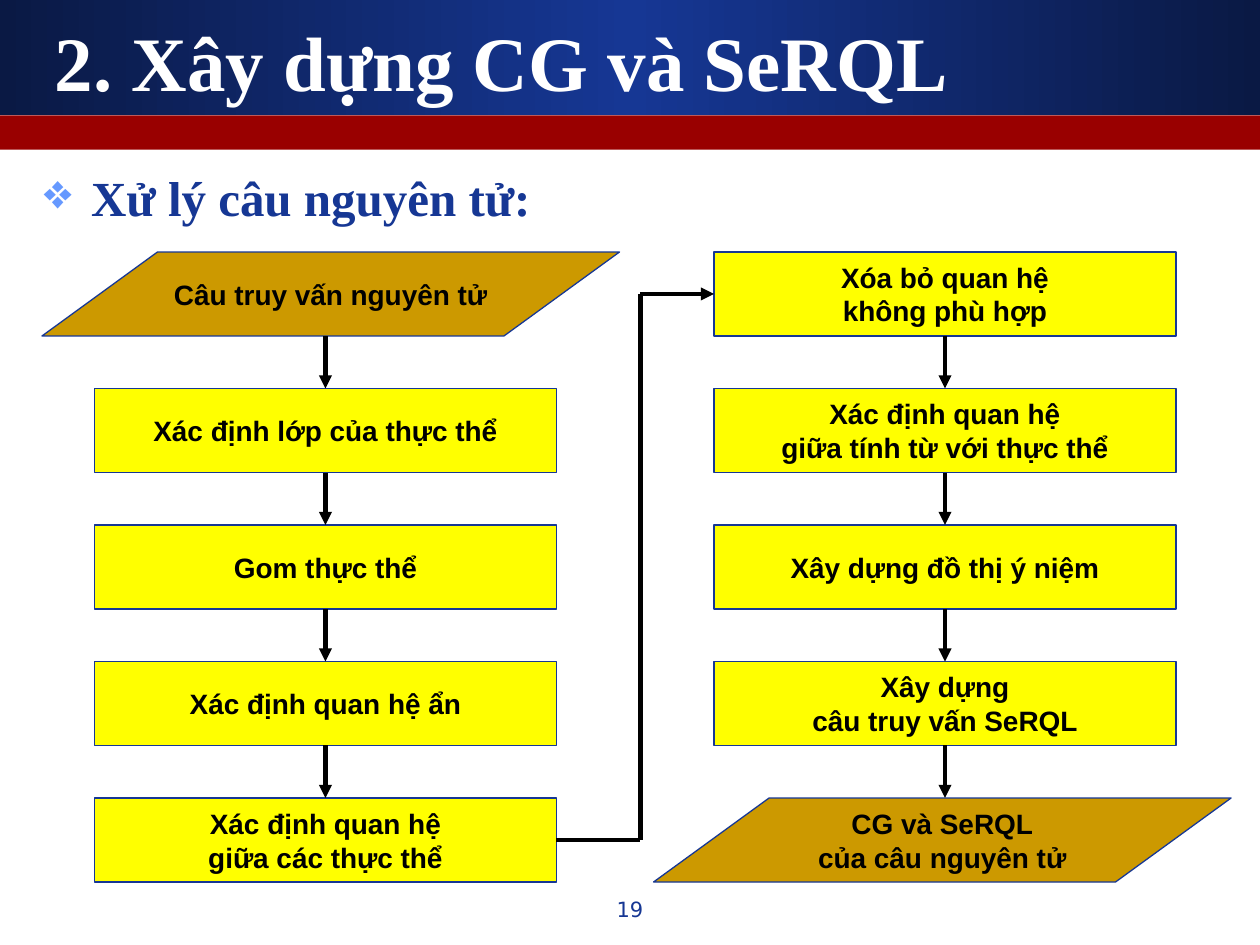
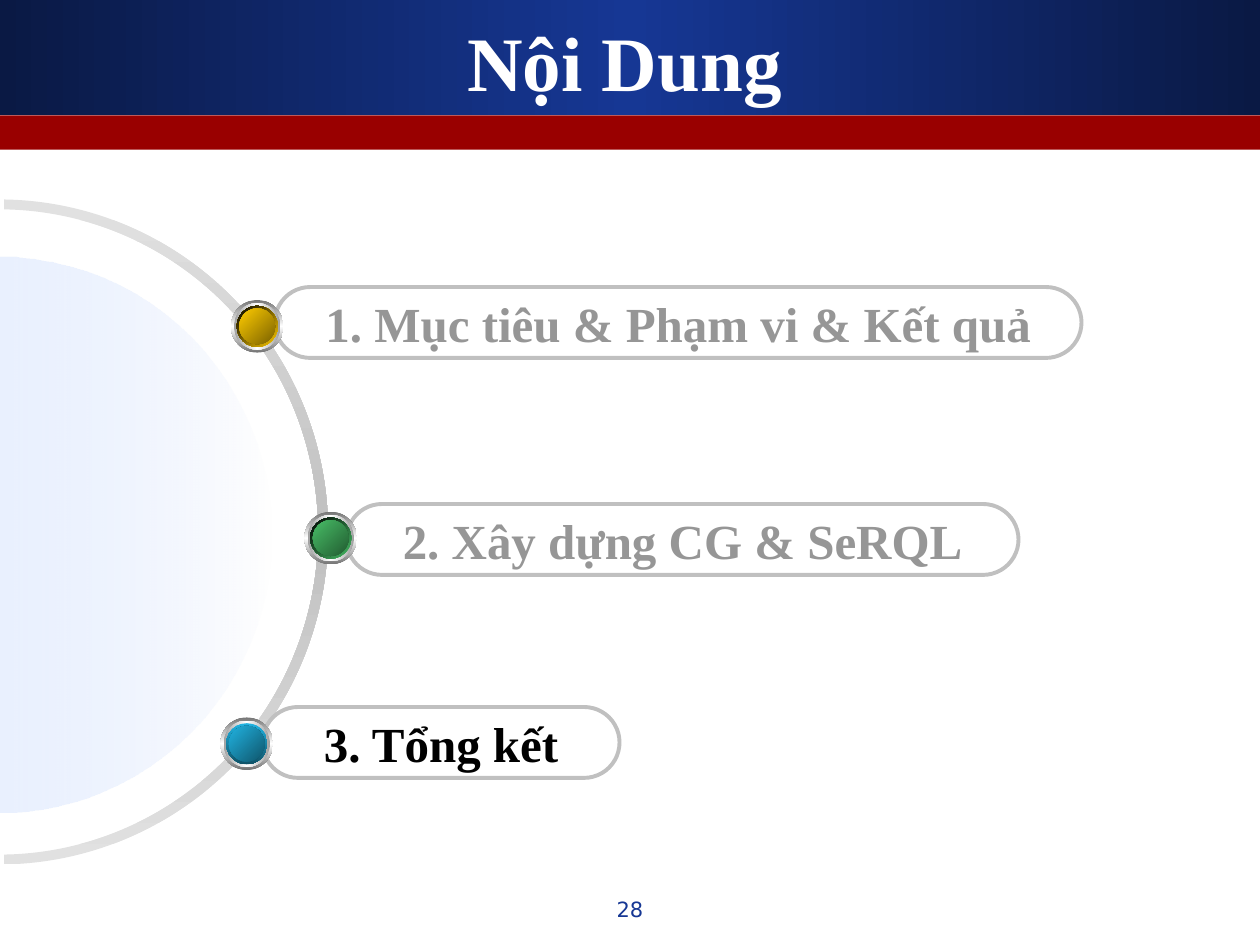
from dataclasses import dataclass
from lxml import etree
from pptx import Presentation
from pptx.dml.color import RGBColor
from pptx.enum import shapes, text
from pptx.oxml.ns import qn
from pptx.util import Pt


@dataclass(frozen=True)
class Theme:
    navy: str = "163794"
    dark_navy: str = "0A1944"
    red: str = "990000"
    sky: str = "6699FF"
    white: str = "FFFFFF"
    near_white: str = "FEFEFE"
    black: str = "000000"
    yellow: str = "FFFF00"
    ochre: str = "CC9900"
    silver: str = "C0C0C0"
    light_silver: str = "E1E1E1"
    gray: str = "969696"
    serif: str = "Times New Roman"
    sans: str = "Arial"
    number_font: str = "DejaVu Sans"
    title_size: float = 44
    heading_size: float = 28
    step_size: float = 16
    number_size: float = 12
    box_line: float = 0.75
    pill_line: float = 2.25
    arrow_line: float = 2.5


THEME = Theme()
KIND = shapes.MSO_SHAPE


def rgb(value):
    return RGBColor.from_string(value)


def add_bullet(paragraph, character, color, indent):
    properties = paragraph._p.get_or_add_pPr()
    properties.set("marL", str(Pt(indent)))
    properties.set("indent", str(-Pt(indent)))
    bullet_color = etree.SubElement(properties, qn("a:buClr"))
    etree.SubElement(bullet_color, qn("a:srgbClr"), val=color)
    etree.SubElement(properties, qn("a:buChar"), char=character)


def write_text(frame, value, size, color, font=THEME.serif, bold=True,
               align="CENTER", anchor="MIDDLE", wrap=True, bullet=None):
    frame.auto_size = text.MSO_AUTO_SIZE.NONE
    frame.word_wrap = wrap
    frame.vertical_anchor = getattr(text.MSO_ANCHOR, anchor)
    frame.margin_left = frame.margin_right = Pt(7.2)
    frame.margin_top = frame.margin_bottom = Pt(3.6)
    frame.text = value
    for paragraph in frame.paragraphs:
        paragraph.alignment = getattr(text.PP_ALIGN, align)
        paragraph.space_before = Pt(0)
        if bullet:
            add_bullet(paragraph, bullet, THEME.sky, 27)
        paragraph.font.size = Pt(size)
        paragraph.font.name = font
        paragraph.font.bold = bold
        paragraph.font.color.rgb = rgb(color)


def fill_gradient(shape, stops, angle):
    shape.fill.gradient()
    shape.fill.gradient_angle = (360 - angle) % 360
    stop_list = shape.element.spPr.find(qn("a:gradFill")).find(qn("a:gsLst"))
    for stop in list(stop_list):
        stop_list.remove(stop)
    for index, (color, alpha) in enumerate(stops):
        position = str(100000 * index // (len(stops) - 1))
        stop = etree.SubElement(stop_list, qn("a:gs"), pos=position)
        stop_color = etree.SubElement(stop, qn("a:srgbClr"), val=color)
        if alpha < 100:
            etree.SubElement(stop_color, qn("a:alpha"), val=str(alpha * 1000))


class Deck:
    def __init__(self, theme):
        self.theme = theme
        self.presentation = Presentation()
        self.presentation.slide_width = Pt(720)
        self.presentation.slide_height = Pt(540)
        self.slide = None

    def add_slide(self, title, number, align):
        theme = self.theme
        first = self.slide is None
        layout = self.presentation.slide_layouts[5]
        self.slide = self.presentation.slides.add_slide(layout)
        if first:
            self.add_master_bands()
        placeholder = self.slide.shapes.title
        placeholder.left, placeholder.top = Pt(24), Pt(12)
        placeholder.width, placeholder.height = Pt(666), Pt(45)
        write_text(placeholder.text_frame, title, theme.title_size,
                   theme.white, align=align)
        self.add_text(number, 276, 509, 168, 25, size=theme.number_size,
                      color=theme.navy, font=theme.number_font, bold=False,
                      anchor="TOP")

    def add_master_bands(self):
        theme = self.theme
        top_band = self.add_shape(
            KIND.RECTANGLE, 0, 0, 720, 66, angle=180,
            gradient=(theme.dark_navy, theme.navy, theme.dark_navy))
        red_band = self.add_shape(KIND.RECTANGLE, 0, 66, 720, 19.5,
                                  fill=theme.red)
        tree = self.presentation.slide_master.element.cSld.spTree
        for identifier, band in enumerate((top_band, red_band), 101):
            band.element.nvSpPr.cNvPr.id = identifier
            tree.append(band.element)

    def add_text(self, value, left, top, width, height, **style):
        box = self.slide.shapes.add_textbox(Pt(left), Pt(top),
                                            Pt(width), Pt(height))
        write_text(box.text_frame, value, **style)

    def add_shape(self, kind, left, top, width, height, fill=None,
                  gradient=None, alphas=None, angle=0, line=None,
                  line_width=0, adjustments=(), parent=None):
        owner = parent or self.slide
        shape = owner.shapes.add_shape(kind, Pt(left), Pt(top),
                                       Pt(width), Pt(height))
        shape.shadow.inherit = False
        for index, value in enumerate(adjustments):
            shape.adjustments[index] = value
        if gradient:
            alphas = alphas or [100] * len(gradient)
            fill_gradient(shape, list(zip(gradient, alphas)), angle)
        elif fill:
            shape.fill.solid()
            shape.fill.fore_color.rgb = rgb(fill)
        else:
            shape.fill.background()
        if line:
            shape.line.color.rgb = rgb(line)
            shape.line.width = Pt(line_width)
        else:
            shape.line.fill.background()
        return shape

    def add_step(self, label, left, top, is_data=False, width=264):
        theme = self.theme
        kind = KIND.FLOWCHART_DATA if is_data else KIND.FLOWCHART_PROCESS
        shape = self.add_shape(kind, left, top, width, 48,
                               fill=theme.ochre if is_data else theme.yellow,
                               line=theme.navy, line_width=theme.box_line)
        write_text(shape.text_frame, label, theme.step_size, theme.black,
                   font=theme.sans, wrap=False)
        return shape

    def add_line(self, start, end, arrow=True, begin=None, finish=None):
        connector = self.slide.shapes.add_connector(
            shapes.MSO_CONNECTOR.STRAIGHT, *map(Pt, start + end))
        if begin:
            connector.begin_connect(*begin)
        if finish:
            connector.end_connect(*finish)
        connector.line.color.rgb = rgb(self.theme.black)
        connector.line.width = Pt(self.theme.arrow_line)
        properties = connector.element.spPr
        if arrow:
            etree.SubElement(properties.find(qn("a:ln")), qn("a:tailEnd"),
                             type="triangle")
        etree.SubElement(properties, qn("a:effectLst"))

    def add_column(self, labels, left, data_row, data_left):
        top, pitch, height, center = 144, 78, 48, left + 132
        steps = []
        for row, label in enumerate(labels):
            is_data = row == data_row
            steps.append(self.add_step(
                label, data_left if is_data else left, top + row * pitch,
                is_data, 330 if is_data else 264))
        for row in range(len(steps) - 1):
            y = top + row * pitch
            self.add_line(
                (center, y + height), (center, y + pitch),
                begin=None if row == data_row else (steps[row], 2),
                finish=None if row + 1 == data_row else (steps[row + 1], 0))
        return steps

    def add_pill(self, label, left, top, width, color):
        theme = self.theme
        pill = self.add_shape(KIND.ROUNDED_RECTANGLE, left, top, width, 40.5,
                              line=theme.silver, line_width=theme.pill_line,
                              adjustments=(0.5,))
        write_text(pill.text_frame, label, theme.heading_size, color,
                   wrap=False)

    def add_ball(self, x, y, rim, rim_angle, core):
        white = self.theme.white
        group = self.slide.shapes.add_group_shape()
        layers = ((30, ("757575", white, "757575"), 90),
                  (26.5, ("A1A1A1", white, "A1A1A1"), 180),
                  (23.5, rim, rim_angle),
                  (20.5, core, 225))
        for size, gradient, angle in layers:
            self.add_shape(KIND.OVAL, x - size / 2, y - size / 2, size, size,
                           gradient=gradient, angle=angle, parent=group)


def build_flow_slide(deck):
    theme = deck.theme
    deck.add_slide("2. Xây dựng CG và SeRQL", "19", "LEFT")
    deck.add_text("Xử lý câu nguyên tử:", 18, 92, 678, 42,
                  size=theme.heading_size, color=theme.navy, align="LEFT",
                  anchor="TOP", bullet="❖")
    left_steps = deck.add_column(
        ("Câu truy vấn nguyên tử", "Xác định lớp của thực thể",
         "Gom thực thể", "Xác định quan hệ ẩn",
         "Xác định quan hệ\ngiữa các thực thể"),
        54, data_row=0, data_left=24)
    right_steps = deck.add_column(
        ("Xóa bỏ quan hệ\nkhông phù hợp",
         "Xác định quan hệ\ngiữa tính từ với thực thể",
         "Xây dựng đồ thị ý niệm", "Xây dựng\ncâu truy vấn SeRQL",
         "CG và SeRQL\ncủa câu nguyên tử"),
        408, data_row=4, data_left=373.5)
    deck.add_line((318, 480), (366, 480), arrow=False,
                  begin=(left_steps[-1], 3))
    deck.add_line((366, 168), (366, 480), arrow=False)
    deck.add_line((366, 168), (408, 168), finish=(right_steps[0], 1))


def build_contents_slide(deck):
    theme = deck.theme
    deck.add_slide("Nội Dung", "28", "CENTER")
    deck.add_shape(
        KIND.BLOCK_ARC, -188.5, 114, 376, 380, angle=90,
        gradient=(theme.light_silver, theme.silver, theme.light_silver),
        adjustments=(162.52, 53.48, 0.015))
    deck.add_shape(
        KIND.BLOCK_ARC, -155, 146.5, 310, 317.5,
        gradient=(theme.sky, theme.near_white), alphas=(28, 48),
        adjustments=(162, 54, 0.5))
    topics = (
        ("1. Mục tiêu & Phạm vi & Kết quả", (157, 164, 461), theme.gray,
         (147, 186.5), ("FFCC00", theme.black), 225, ("7B6200", "FFCC00")),
        ("2. Xây dựng CG & SeRQL", (198, 288, 384), theme.gray,
         (189, 307.5), ("48BE67", theme.black), 225, ("225C31", "48BE67")),
        ("3. Tổng kết", (150, 404, 204), theme.black,
         (141, 425), ("21B3E1", "0F5267"), 90, ("0F566C", "21B3E1")),
    )
    for label, place, color, center, rim, rim_angle, core in topics:
        deck.add_pill(label, *place, color)
        deck.add_ball(*center, rim, rim_angle, core)


def main():
    deck = Deck(THEME)
    build_flow_slide(deck)
    build_contents_slide(deck)
    deck.presentation.save("out.pptx")


if __name__ == "__main__":
    main()
